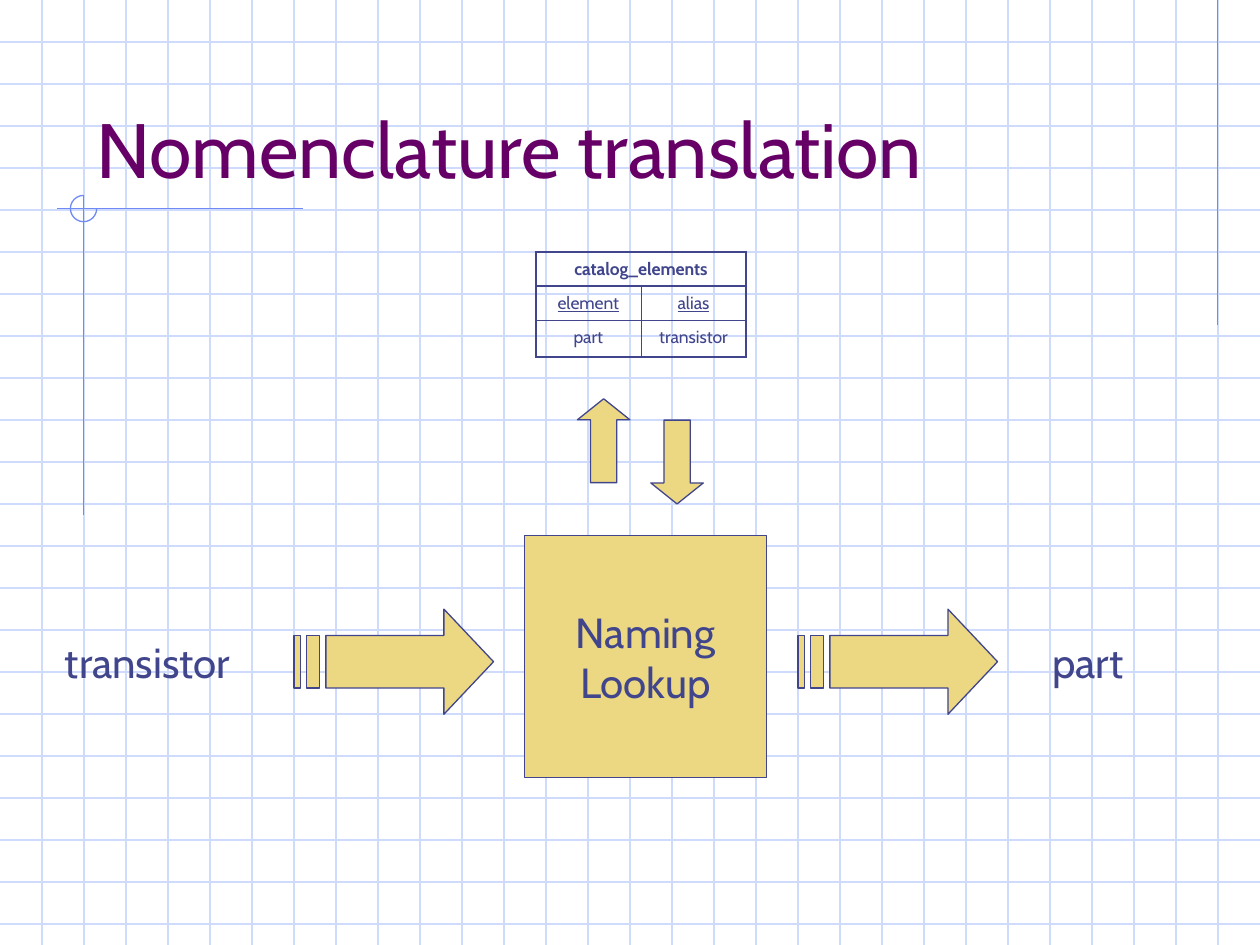
from lxml import etree
from pptx import Presentation
from pptx.dml.color import RGBColor
from pptx.enum.shapes import MSO_CONNECTOR, MSO_SHAPE
from pptx.enum.text import MSO_ANCHOR, PP_ALIGN
from pptx.oxml.ns import qn
from pptx.util import Cm, Pt

STRAIGHT = MSO_CONNECTOR.STRAIGHT
PROCESS, ARC = MSO_SHAPE.FLOWCHART_PROCESS, MSO_SHAPE.ARC
UP_ARROW, DOWN_ARROW = MSO_SHAPE.UP_ARROW, MSO_SHAPE.DOWN_ARROW
LEFT, CENTER = PP_ALIGN.LEFT, PP_ALIGN.CENTER
TOP, MIDDLE, BOTTOM = MSO_ANCHOR.TOP, MSO_ANCHOR.MIDDLE, MSO_ANCHOR.BOTTOM

COLORS = {"grid": "CFDBFD", "accent": "6F89F7", "title": "660066",
          "ink": "40458C", "gold": "ECD882"}
WIDTH, HEIGHT = 25.4, 19.05
GRID_STEP = WIDTH / 30
LINE_WIDTH = Pt(0.75)
OUTER_BORDER, INNER_BORDER = Pt(1.08), Pt(0.45)


def color(name):
    return RGBColor.from_string(COLORS[name])


def add_line(slide, x1, y1, x2, y2, line_color):
    line = slide.shapes.add_connector(STRAIGHT, Cm(x1), Cm(y1), Cm(x2), Cm(y2))
    line.line.color.rgb = color(line_color)
    line.line.width = LINE_WIDTH
    etree.SubElement(line._element.spPr, qn("a:effectLst"))


def style_shape(shape, line_color="ink", fill_color="gold"):
    shape.shadow.inherit = False
    if fill_color:
        shape.fill.solid()
        shape.fill.fore_color.rgb = color(fill_color)
    else:
        shape.fill.background()
    shape.line.color.rgb = color(line_color)
    shape.line.width = LINE_WIDTH


def write_text(text_frame, lines, align=LEFT, text_color="ink", **format_values):
    for index, text in enumerate(lines):
        paragraph = text_frame.paragraphs[0] if index == 0 else text_frame.add_paragraph()
        paragraph.alignment = align
        run = paragraph.add_run()
        run.text = text
        run.font.color.rgb = color(text_color)
        for name, value in {"name": "Cabin", **format_values}.items():
            setattr(run.font, name, value)


def add_text(slide, text, left, top, width, height, size=24, anchor=TOP, text_color="ink"):
    box = slide.shapes.add_textbox(Cm(left), Cm(top), Cm(width), Cm(height))
    box.text_frame.word_wrap = True
    box.text_frame.vertical_anchor = anchor
    write_text(box.text_frame, [text], text_color=text_color, size=Pt(size))


def add_shape(slide, kind, left, top, width, height):
    return slide.shapes.add_shape(kind, Cm(left), Cm(top), Cm(width), Cm(height))


def add_block_arrow(slide, kind, left, top):
    arrow = add_shape(slide, kind, left, top, 1.06, 1.69)
    arrow.adjustments[0], arrow.adjustments[1] = 0.5, 0.4
    style_shape(arrow)


def add_striped_arrow(slide, left, top):
    """Right arrow with two stripes behind its shaft."""
    head, tip, shaft_top, shaft_bottom, height = 3.02, 4.02, 0.53, 1.59, 2.12
    outlines = [[(0.64, shaft_top), (head, shaft_top), (head, 0), (tip, height / 2),
                 (head, height), (head, shaft_bottom), (0.64, shaft_bottom)]]
    for start, end in ((0, 0.13), (0.25, 0.51)):
        outlines.append([(start, shaft_top), (end, shaft_top),
                         (end, shaft_bottom), (start, shaft_bottom)])
    contours = [[(Cm(left + x), Cm(top + y)) for x, y in outline] for outline in outlines]
    builder = slide.shapes.build_freeform(*contours[0][0])
    for index, points in enumerate(contours):
        if index:
            builder.move_to(*points[0])
        builder.add_line_segments(points[1:], close=True)
    style_shape(builder.convert_to_shape())


def set_borders(cell, widths):
    properties = cell._tc.get_or_add_tcPr()
    for side, width in widths.items():
        border = etree.SubElement(properties, qn(f"a:ln{side}"), w=str(width))
        fill = etree.SubElement(border, qn("a:solidFill"))
        etree.SubElement(fill, qn("a:srgbClr"), val=COLORS["ink"])


def add_catalog_table(slide):
    rows = [(["catalog_elements", ""], 0.69, {"bold": True}),
            (["element", "alias"], 0.69, {"underline": True}),
            (["part", "transistor"], 0.74, {})]
    table = slide.shapes.add_table(3, 2, Cm(10.8), Cm(5.08), Cm(4.23), Cm(2.12)).table
    table.first_row = table.horz_banding = False
    for column in table.columns:
        column.width = Cm(2.12)
    table.cell(0, 0).merge(table.cell(0, 1))
    for row, (texts, height, emphasis) in enumerate(rows):
        table.rows[row].height = Cm(height)
        for column, text in enumerate(texts):
            cell = table.cell(row, column)
            set_borders(cell, {"L": INNER_BORDER if column else OUTER_BORDER,
                               "R": OUTER_BORDER if column or row == 0 else INNER_BORDER,
                               "T": OUTER_BORDER, "B": OUTER_BORDER})
            cell.fill.background()
            if text:
                format_values = {"size": Pt(10), "bold": False, **emphasis}
                write_text(cell.text_frame, [text], CENTER, **format_values)


def add_background(slide):
    # Graph paper
    for index in range(1, 23):
        add_line(slide, 0, index * GRID_STEP, WIDTH, index * GRID_STEP, "grid")
    for index in range(1, 30):
        add_line(slide, index * GRID_STEP, 0, index * GRID_STEP, HEIGHT, "grid")
    # Accent lines and the three-quarter circle at their crossing
    add_line(slide, 24.55, 0, 24.55, 6.55, "accent")
    add_line(slide, 1.15, 4.2, 6.1, 4.2, "accent")
    add_line(slide, 1.69, 3.94, 1.69, 10.39, "accent")
    circle = add_shape(slide, ARC, 1.42, 3.94, 0.53, 0.53)
    circle.adjustments[0], circle.adjustments[1] = 0, 162
    style_shape(circle, "accent", None)


def main():
    presentation = Presentation()
    presentation.slide_width, presentation.slide_height = Cm(WIDTH), Cm(HEIGHT)
    slide = presentation.slides.add_slide(presentation.slide_layouts[6])
    add_background(slide)
    add_text(slide, "Nomenclature translation", 1.69, 0.85, 21.59, 3.18, 44, BOTTOM, "title")

    # Lookup step with its input and output
    lookup = add_shape(slide, PROCESS, 10.58, 10.8, 4.87, 4.87)
    style_shape(lookup)
    lookup.text_frame.word_wrap = False
    lookup.text_frame.vertical_anchor = MIDDLE
    write_text(lookup.text_frame, ["Naming", "Lookup"], CENTER, size=Pt(24))
    for left in (5.93, 16.09):
        add_striped_arrow(slide, left, 12.28)
    add_text(slide, "part", 20.96, 12.7, 2.54, 1.27)
    add_text(slide, "transistor", 1.06, 12.7, 4.23, 1.27)

    # Catalog query and answer
    add_catalog_table(slide)
    add_block_arrow(slide, UP_ARROW, 11.64, 8.04)
    add_block_arrow(slide, DOWN_ARROW, 13.12, 8.47)
    presentation.save("out.pptx")


if __name__ == "__main__":
    main()
